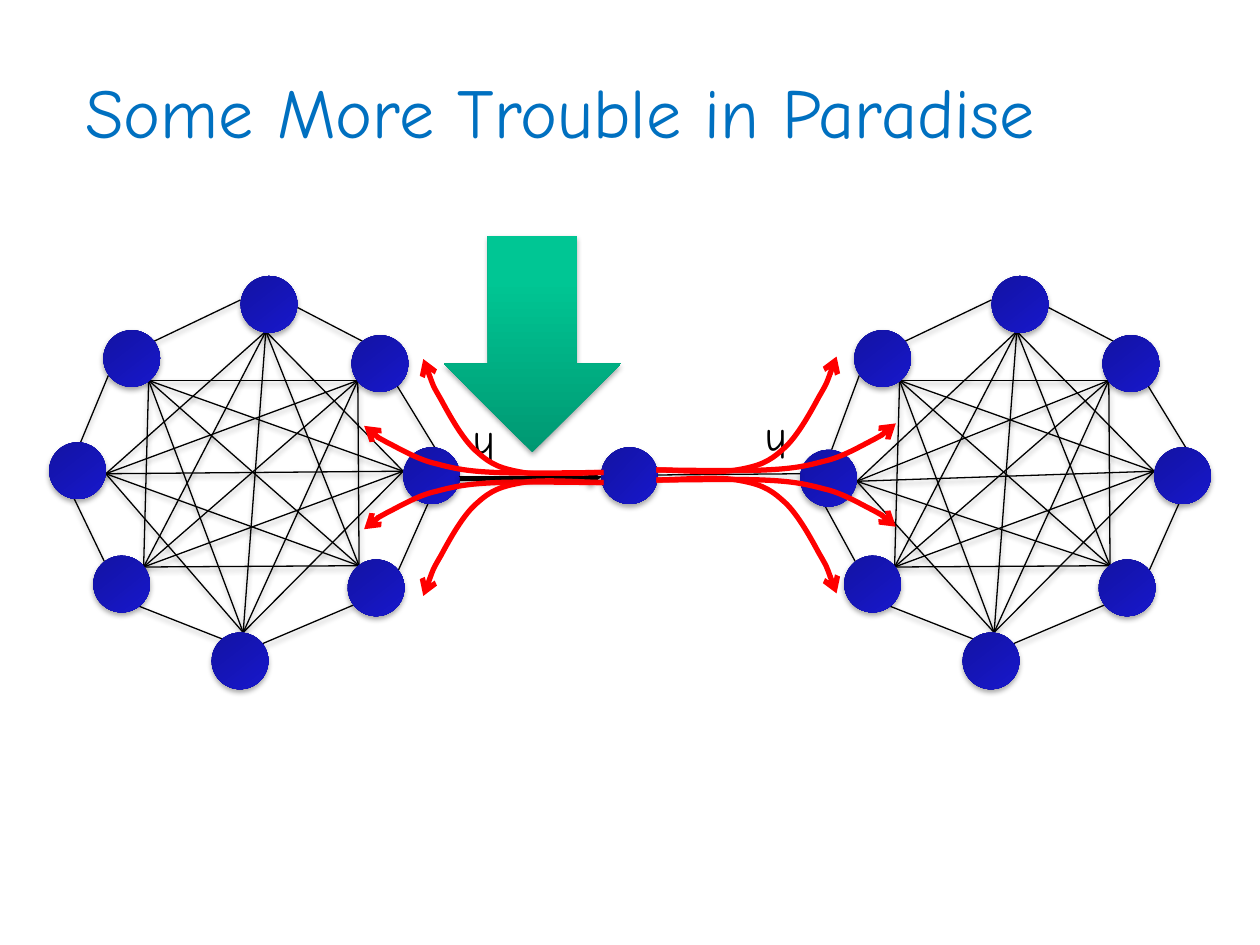
from copy import deepcopy
from itertools import combinations

from lxml import etree
from pptx import Presentation
from pptx.dml.color import RGBColor
from pptx.enum.shapes import MSO_CONNECTOR, MSO_SHAPE
from pptx.enum.text import MSO_ANCHOR, PP_ALIGN
from pptx.oxml.ns import qn
from pptx.util import Inches, Pt

STRAIGHT = MSO_CONNECTOR.STRAIGHT
OVAL, DOWN_ARROW = MSO_SHAPE.OVAL, MSO_SHAPE.DOWN_ARROW
MIDDLE, CENTER = MSO_ANCHOR.MIDDLE, PP_ALIGN.CENTER

FONT = "Comic Neue"
TITLE_BLUE = RGBColor(0x00, 0x70, 0xC0)
BLACK = RGBColor(0x00, 0x00, 0x00)
RED = RGBColor(0xFF, 0x00, 0x00)
BLUES = (RGBColor(0x12, 0x12, 0x9A), RGBColor(0x17, 0x17, 0xC8), RGBColor(0x14, 0x14, 0xCC))
GREENS = (RGBColor(0x00, 0x98, 0x72), RGBColor(0x00, 0xC6, 0x94), RGBColor(0x00, 0xC7, 0x95))

NODE_SIZE = 0.45
WEST = 6
NODES = [(1.52, 0), (2.4, 0.47), (2.81, 1.36), (2.37, 2.25),
         (1.29, 2.83), (0.35, 2.22), (0, 1.32), (0.43, 0.43)]
MESH = [(1.72, 0.44), (2.45, 0.83), (2.81, 1.55), (2.46, 2.3),
        (1.54, 2.83), (0.75, 2.31), (0.45, 1.57), (0.79, 0.83)]
RIM = [((1.97, 0.25), (2.49, 0.52)), ((2.76, 0.87), (3.06, 1.36)),
       ((3.01, 1.8), (2.77, 2.34)), ((2.42, 2.61), (1.69, 2.92)),
       ((1.37, 2.88), (0.71, 2.62)), ((0.44, 2.27), (0.2, 1.77)),
       ((0.25, 1.32), (0.47, 0.79)), ((0.83, 0.52), (1.52, 0.19))]
OUTER_ROUTE = [(0, 0), (0.13, 0), (0.48, -0.03), (0.64, 0), (0.81, 0.03), (0.89, 0.06),
               (1, 0.16), (1.11, 0.25), (1.22, 0.45), (1.29, 0.58), (1.36, 0.7),
               (1.35, 0.69), (1.43, 0.9)]
INNER_ROUTE = [(0, 0), (0.18, 0), (0.63, -0.01), (0.85, 0), (1.08, 0.01), (1.18, 0.03),
               (1.33, 0.07), (1.47, 0.1), (1.62, 0.19), (1.72, 0.24), (1.81, 0.29),
               (1.8, 0.28), (1.9, 0.37)]


def add_soft_shadow(shape):
    """Give a shape or connector the soft shadow that falls straight down."""
    effects = etree.SubElement(shape._element.spPr, qn("a:effectLst"))
    outer = etree.SubElement(effects, qn("a:outerShdw"), blurRad=str(Pt(3.1)),
                             dist=str(Pt(1.8)), dir="5400000", rotWithShape="0")
    black = etree.SubElement(outer, qn("a:srgbClr"), val="000000")
    etree.SubElement(black, qn("a:alpha"), val="35000")


def add_arrowhead(shape):
    """Put an open arrowhead at the end of a line."""
    etree.SubElement(shape.line._get_or_add_ln(), qn("a:tailEnd"), type="arrow")


def add_link(slide, start, end, weight=0.75):
    """Draw a straight black link between two points."""
    link = slide.shapes.add_connector(STRAIGHT, *(Inches(v) for v in (*start, *end)))
    link.line.color.rgb = BLACK
    link.line.width = Pt(weight)
    add_soft_shadow(link)
    return link


def add_glossy_shape(slide, kind, left, top, width, height, colors):
    """Add a borderless preset shape with a vertical three-stop gradient."""
    shape = slide.shapes.add_shape(kind, *(Inches(v) for v in (left, top, width, height)))
    shape.fill.gradient()
    shape.fill.gradient_angle = 90
    stop_list = shape._element.spPr.find(".//" + qn("a:gsLst"))
    stop_list.insert(1, deepcopy(stop_list[0]))
    for stop, position, color in zip(shape.fill.gradient_stops, (0, 0.8, 1), colors):
        stop.position = position
        stop.color.rgb = color
    shape.line.fill.background()
    add_soft_shadow(shape)
    return shape


def add_node(slide, left, top, turn=141.8):
    """Add one blue network node."""
    node = add_glossy_shape(slide, OVAL, left, top, NODE_SIZE, NODE_SIZE, BLUES)
    node.rotation = turn


def add_cluster(slide, left, top, west_drop=0):
    """Draw eight fully linked nodes, with the west node lowered by west_drop."""
    def place(point, is_west):
        return left + point[0], top + point[1] + (west_drop if is_west else 0)

    for i, (start, end) in enumerate(RIM):
        add_link(slide, place(start, i == WEST), place(end, i == WEST - 1))
    for i, j in combinations(range(len(MESH)), 2):
        if j - i not in (1, len(MESH) - 1):
            add_link(slide, place(MESH[i], i == WEST), place(MESH[j], j == WEST))
    for i, point in enumerate(NODES):
        add_node(slide, *place(point, i == WEST))


def add_route(slide, points, label=""):
    """Draw a red curved arrow through Bezier points, with an upside-down label."""
    if label:
        xs, ys = zip(*points)
        points = [(min(xs) + max(xs) - x, min(ys) + max(ys) - y) for x, y in points]
    corners = [(Inches(x), Inches(y)) for x, y in points]
    builder = slide.shapes.build_freeform(*corners[0])
    builder.add_line_segments(corners[1:], close=False)
    route = builder.convert_to_shape()
    segments = list(route._element.iter(qn("a:lnTo")))
    for first in range(0, len(segments), 3):
        curve = etree.Element(qn("a:cubicBezTo"))
        segments[first].addprevious(curve)
        for segment in segments[first:first + 3]:
            curve.append(segment[0])
            segment.getparent().remove(segment)
    route.fill.background()
    route.line.color.rgb = RED
    route.line.width = Pt(3)
    add_arrowhead(route)
    route.shadow.inherit = False
    if label:
        route.rotation = 180
        frame = route.text_frame
        frame.text = label
        frame.vertical_anchor = MIDDLE
        frame.paragraphs[0].alignment = CENTER
        style_run(frame.paragraphs[0].runs[0], 24, BLACK)


def add_route_fan(slide, x, y, direction):
    """Spread four routes from the hub side at x, y towards one cluster."""
    for route, down, label in ((OUTER_ROUTE, 1, ""), (INNER_ROUTE, -1, "h"),
                               (INNER_ROUTE, 1, ""), (OUTER_ROUTE, -1, "")):
        add_route(slide, [(x + direction * dx, y + down * (0.04 + dy))
                          for dx, dy in route], label)


def style_run(run, size, color):
    """Set the font of a run."""
    run.font.name = FONT
    run.font.size = Pt(size)
    run.font.color.rgb = color


def add_title(slide, left, top, width, height):
    """Write the slide title."""
    title = slide.shapes.add_textbox(*(Inches(v) for v in (left, top, width, height)))
    frame = title.text_frame
    frame.word_wrap = True
    frame.vertical_anchor = MIDDLE
    frame.text = "Some More Trouble in Paradise"
    style_run(frame.paragraphs[0].runs[0], 40, TITLE_BLUE)


def add_bridge(slide, left, top):
    """Draw the hub at left, top with its links, bottleneck pointer and routes."""
    right = left + NODE_SIZE
    add_node(slide, left, top, 132.3)
    add_arrowhead(add_link(slide, (left - 1.12, top + 0.25), (left, top + 0.24), 2.5))
    add_link(slide, (right, top + 0.22), (right + 1.13, top + 0.21))
    add_glossy_shape(slide, DOWN_ARROW, left - 1.25, top - 1.68, 1.41, 1.72, GREENS)
    add_route_fan(slide, left + 0.02, top + 0.24, -1)
    add_route_fan(slide, right - 0.01, top + 0.22, 1)
    add_link(slide, (left - 1.13, top + 0.23), (left, top + 0.23))


def main():
    """Build and save the slide."""
    deck = Presentation()
    deck.slide_width, deck.slide_height = Inches(10), Inches(7.5)
    slide = deck.slides.add_slide(deck.slide_layouts[6])
    add_title(slide, 0.58, 0.25, 8.5, 1.25)
    add_cluster(slide, 0.39, 2.19)
    add_cluster(slide, 6.35, 2.19, west_drop=0.06)
    add_bridge(slide, 4.77, 3.55)
    deck.save("out.pptx")


if __name__ == "__main__":
    main()
